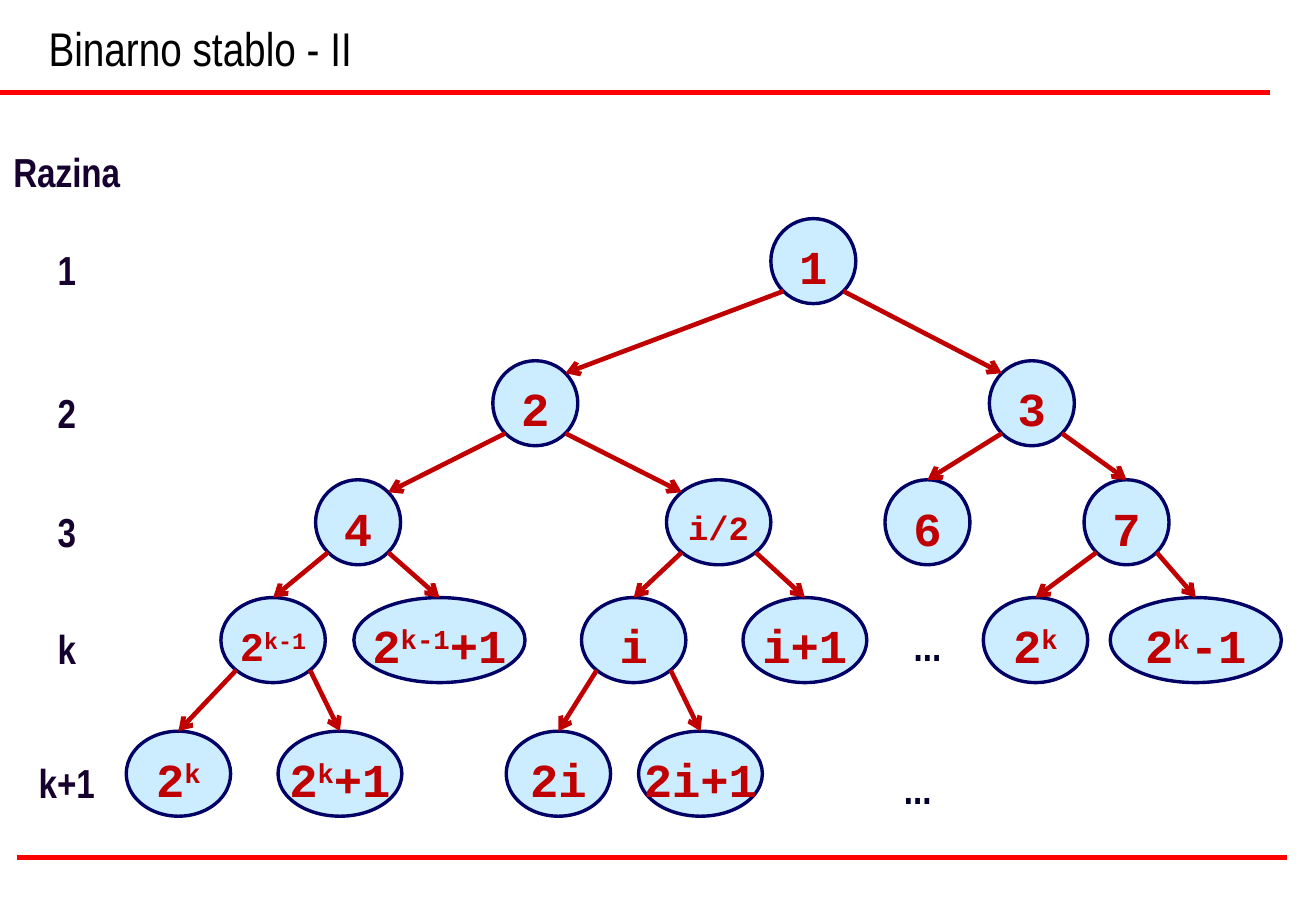
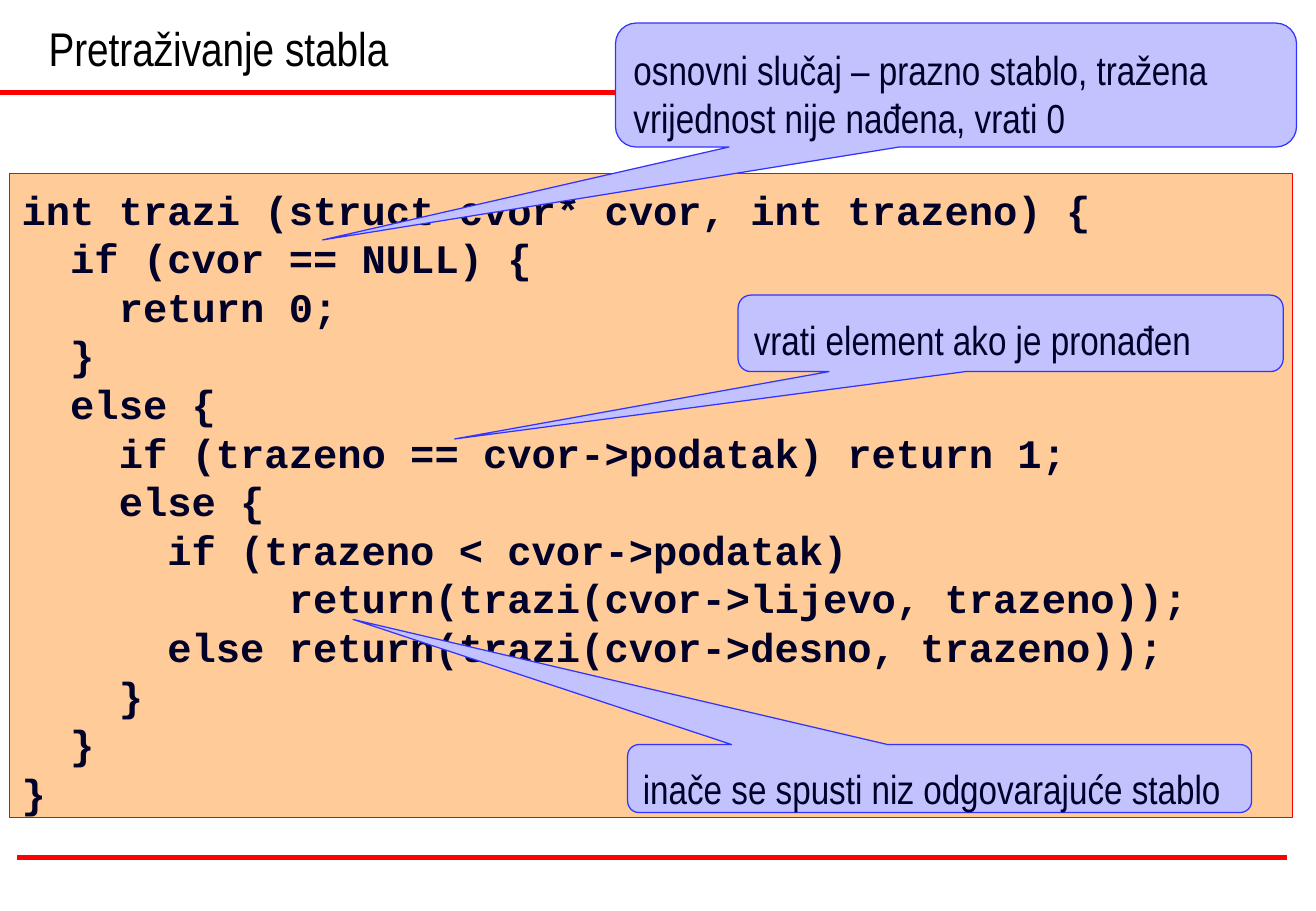
import math

import lxml.etree
import pptx
import pptx.dml.color
import pptx.enum.shapes
import pptx.enum.text
import pptx.oxml.ns
import pptx.util

Inches = pptx.util.Inches
Pt = pptx.util.Pt
SHAPE = pptx.enum.shapes.MSO_SHAPE
ALIGN = pptx.enum.text.PP_ALIGN
ANCHOR = pptx.enum.text.MSO_ANCHOR
rgb = pptx.dml.color.RGBColor.from_string
qn = pptx.oxml.ns.qn

COLORS = {
    "title": "000000", "band": "FF0000", "level": "15002E", "text": "000029",
    "node": "CCECFF", "node line": "000066", "branch": "C00000",
    "code": "FFCC99", "callout": "C2C2FF", "callout line": "3333FF",
}
SANS, MONO = "Arial Narrow", "Courier New"


def write(box, text, size=24, font=SANS, color="text", bold=False, align=ALIGN.LEFT,
          anchor=ANCHOR.MIDDLE, top=0.13, wrap=False):
    """Fill a box with lines of text; parts between ^ marks are superscript."""
    frame = box.text_frame
    frame.auto_size = pptx.enum.text.MSO_AUTO_SIZE.NONE
    frame.word_wrap = wrap
    frame.vertical_anchor = anchor
    frame.margin_top = Inches(top)
    para = frame.paragraphs[0]
    para.alignment = align
    for row, line in enumerate(text.split("\n")):
        if row:
            para.add_line_break()
        for part, piece in enumerate(line.split("^")):
            if not piece:
                continue
            span = para.add_run()
            span.text = piece
            span.font.name = font
            span.font.size = Pt(size)
            span.font.bold = bold
            span.font.color.rgb = rgb(COLORS[color])
            if part % 2:
                span.font._element.set("baseline", "30000")


def draw(page, start, end=None, size=None, kind=None, fill=None, line=None, width=0.75):
    """Add a preset shape, or a straight line when no kind is given."""
    if kind is None:
        shape = page.shapes.add_connector(
            pptx.enum.shapes.MSO_CONNECTOR.STRAIGHT, *map(Inches, start + end))
        lxml.etree.SubElement(shape.element.spPr, qn("a:effectLst"))
    else:
        shape = page.shapes.add_shape(kind, *map(Inches, start + size))
        shape.shadow.inherit = False
        shape.fill.solid()
        shape.fill.fore_color.rgb = rgb(COLORS[fill])
    shape.line.color.rgb = rgb(COLORS[line])
    shape.line.width = Pt(width)
    return shape


deck = pptx.Presentation()
deck.slide_width, deck.slide_height = Inches(10.84), Inches(7.5)

# Shared title place and slides
layout = deck.slide_layouts.get_by_name("Title Only")
heading = layout.placeholders[0]
heading.left, heading.top = Inches(0.3), Inches(0)
heading.width, heading.height = Inches(10.16), Inches(0.68)
pages = []
for title in ["Binarno stablo - II", "Pretraživanje stabla"]:
    page = deck.slides.add_slide(layout)
    write(page.shapes.title, title, size=28, color="title", anchor=ANCHOR.BOTTOM,
          top=0.05, wrap=True)
    pages.append(page)
tree_page, code_page = pages

# Red bands, moved to the master
for left, top in [(0, 0.76), (0.14, 7.06)]:
    band = draw(tree_page, (left, top), (left + 10.46, top), line="band", width=3)
    deck.slide_master.shapes.element.append(band.element)

# Tree: level names and gaps
LEVELS = {"1": 2.15, "2": 3.32, "3": 4.3, "k": 5.27, "k+1": 6.37}
labels = [("Razina", 0.55, 1.34, "level")]
labels += [(name, 0.55, middle, "level") for name, middle in LEVELS.items()]
labels += [("...", 7.64, 5.24, "text"), ("...", 7.56, 6.42, "text")]
for text, center, middle, color in labels:
    box = tree_page.shapes.add_textbox(
        Inches(center - 0.54), Inches(middle - 0.25), Inches(1.08), Inches(0.56))
    write(box, text, color=color, bold=True, align=ALIGN.CENTER)

# Tree: nodes as name: (text, center, level, width, text size, parent)
NODES = {
    "root": ("1", 6.7, "1", 0.7, 28, None),
    "2": ("2", 4.41, "2", 0.7, 28, "root"),
    "3": ("3", 8.5, "2", 0.7, 28, "root"),
    "4": ("4", 2.95, "3", 0.7, 28, "2"),
    "half": ("i/2", 5.92, "3", 0.86, 20, "2"),
    "6": ("6", 7.64, "3", 0.7, 28, "3"),
    "7": ("7", 9.28, "3", 0.7, 28, "3"),
    "first": ("2^k-1^", 2.25, "k", 0.86, 24, "4"),
    "second": ("2^k-1^+1", 3.62, "k", 1.41, 28, "4"),
    "i": ("i", 5.22, "k", 0.86, 28, "half"),
    "next": ("i+1", 6.63, "k", 1.02, 28, "half"),
    "last even": ("2^k^", 8.53, "k", 0.86, 28, "7"),
    "last": ("2^k^-1", 9.85, "k", 1.41, 28, "7"),
    "first left": ("2^k^", 1.47, "k+1", 0.86, 28, "first"),
    "first right": ("2^k^+1", 2.8, "k+1", 1.02, 28, "first"),
    "i left": ("2i", 4.6, "k+1", 0.86, 28, "i"),
    "i right": ("2i+1", 5.77, "k+1", 1.02, 28, "i"),
}
RADIUS = 0.35
DIAGONAL = math.sqrt(0.5)
for text, center, level, width, size, parent in NODES.values():
    middle = LEVELS[level]
    node = draw(tree_page, (center - width / 2, middle - RADIUS), size=(width, 2 * RADIUS),
                kind=SHAPE.OVAL, fill="node", line="node line", width=2)
    write(node, text, size=size, font=MONO, color="branch", bold=True, align=ALIGN.CENTER)
    if parent is None:
        continue

    # Arrow from the parent's lower side; distant children are met at the shoulder
    _, parent_center, parent_level, parent_width, _, _ = NODES[parent]
    side = math.copysign(DIAGONAL, center - parent_center)
    start = (parent_center + side * parent_width / 2, LEVELS[parent_level] + DIAGONAL * RADIUS)
    if abs(center - parent_center) > 1:
        end = (center - side * width / 2, middle - DIAGONAL * RADIUS)
    else:
        end = (center, middle - RADIUS)
    arrow = draw(tree_page, start, end, line="branch", width=2.75)
    lxml.etree.SubElement(arrow.element.spPr.find(qn("a:ln")), qn("a:tailEnd"), type="arrow")

# Search code
CODE = """int trazi (struct cvor* cvor, int trazeno) {
  if (cvor == NULL) {
    return 0;
  }
  else {
    if (trazeno == cvor->podatak) return 1;
    else {
      if (trazeno < cvor->podatak)
           return(trazi(cvor->lijevo, trazeno));
      else return(trazi(cvor->desno, trazeno));
    }
  }
}"""
panel = draw(code_page, (0.08, 1.43), size=(10.57, 5.3), kind=SHAPE.RECTANGLE,
             fill="code", line="band")
write(panel, CODE, font=MONO, bold=True, wrap=True)

# Callouts: text, corner, size, pointer tip relative to the center
CALLOUTS = [
    ("osnovni slučaj – prazno stablo, tražena vrijednost nije nađena, vrati 0",
     (5.07, 0.19), (5.61, 1.02), (-0.93, 1.25)),
    ("vrati element ako je pronađen", (6.08, 2.43), (4.49, 0.63), (-1.02, 1.38)),
    ("inače se spusti niz odgovarajuće stablo", (5.17, 6.13), (5.14, 0.56), (-0.94, -2.34)),
]
for text, corner, size, tip in CALLOUTS:
    callout = draw(code_page, corner, size=size, kind=SHAPE.ROUNDED_RECTANGULAR_CALLOUT,
                   fill="callout", line="callout line")
    callout.adjustments[0], callout.adjustments[1] = tip
    write(callout, text, anchor=ANCHOR.TOP, wrap=True)

deck.save("out.pptx")
